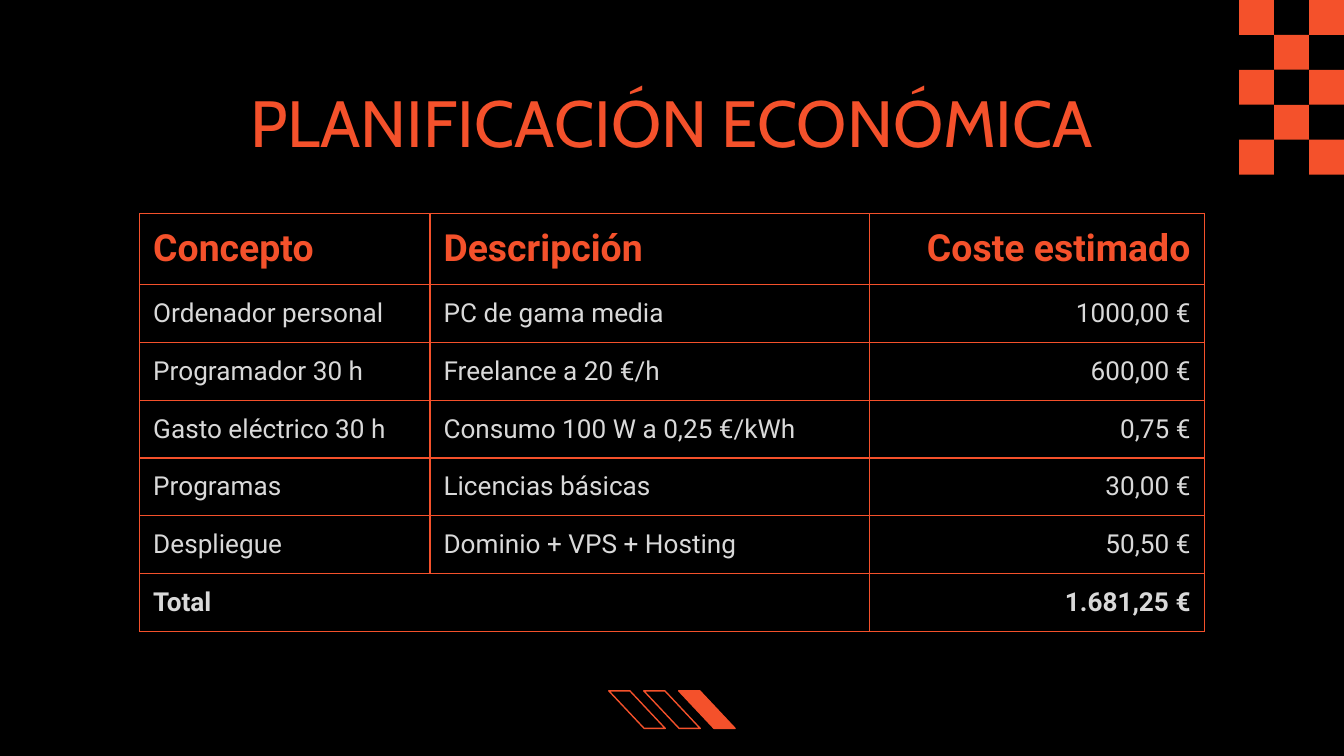
from lxml import etree
from pptx import Presentation
from pptx.dml.color import RGBColor
from pptx.enum.shapes import MSO_SHAPE
from pptx.enum.text import MSO_ANCHOR, MSO_AUTO_SIZE, PP_ALIGN
from pptx.oxml.ns import qn
from pptx.util import Inches, Pt

RECTANGLE = MSO_SHAPE.RECTANGLE
PARALLELOGRAM = MSO_SHAPE.PARALLELOGRAM
TOP, MIDDLE = MSO_ANCHOR.TOP, MSO_ANCHOR.MIDDLE
LEFT, CENTER, RIGHT = PP_ALIGN.LEFT, PP_ALIGN.CENTER, PP_ALIGN.RIGHT
NO_AUTOFIT = MSO_AUTO_SIZE.NONE

COLORS = {"background": "000000", "accent": "F4512B", "text": "D9D9D9"}
TITLE = "PLANIFICACIÓN ECONÓMICA"
COSTS = [
    ("Concepto", "Descripción", "Coste estimado"),
    ("Ordenador personal", "PC de gama media", "1000,00 €"),
    ("Programador 30 h", "Freelance a 20 €/h", "600,00 €"),
    ("Gasto eléctrico 30 h", "Consumo 100 W a 0,25 €/kWh", "0,75 €"),
    ("Programas", "Licencias básicas", "30,00 €"),
    ("Despliegue", "Dominio + VPS + Hosting", "50,50 €"),
    ("Total", "", "1.681,25 €"),
]
COLUMN_WIDTHS = [2.16, 3.27, 2.49]
ALIGNMENTS = [LEFT, LEFT, RIGHT]
ROW_HEIGHT = 0.42
CHECKER = ["X.X", ".X.", "X.X", ".X.", "X.X"]
SQUARE = 0.26
STRIPES = [(5.05, True), (4.79, False), (4.53, False)]


def rgb(name):
    return RGBColor.from_string(COLORS[name])


def write(para, text, font, size, color, bold, alignment):
    para.alignment = alignment
    span = para.add_run()
    span.text = text
    span.font.name = font
    span.font.size = Pt(size)
    span.font.bold = bold
    span.font.color.rgb = rgb(color)


def set_margins(target):
    target.margin_left = target.margin_right = Inches(0.1)
    target.margin_top = target.margin_bottom = Inches(0.1)


def add_shape(page, kind, left, top, width, height, filled):
    shape = page.shapes.add_shape(
        kind, Inches(left), Inches(top), Inches(width), Inches(height))
    shape.shadow.inherit = False
    if filled:
        shape.fill.solid()
        shape.fill.fore_color.rgb = rgb("accent")
    else:
        shape.fill.background()
    return shape


def add_checker(page):
    for row, pattern in enumerate(CHECKER):
        for column, mark in enumerate(pattern):
            if mark == "X":
                square = add_shape(page, RECTANGLE, 9.22 + column * SQUARE,
                                   row * SQUARE, SQUARE, SQUARE, True)
                square.line.fill.background()


def add_stripes(page):
    for left, filled in STRIPES:
        stripe = add_shape(page, PARALLELOGRAM, left, 5.14, 0.42, 0.28, filled)
        stripe.adjustments[0] = 0.94
        stripe.line.color.rgb = rgb("accent")
        stripe.line.width = Pt(0.75)
        stripe._element.spPr.find(qn("a:xfrm")).set("flipH", "1")


def add_title(page):
    title = page.shapes.title
    title.left, title.top = Inches(0.77), Inches(0.51)
    title.width, title.height = Inches(8.46), Inches(0.62)
    frame = title.text_frame
    frame.word_wrap = True
    frame.auto_size = NO_AUTOFIT
    frame.vertical_anchor = TOP
    set_margins(frame)
    write(frame.paragraphs[0], TITLE, "Cabin", 35, "accent", False, CENTER)


def add_borders(cell):
    properties = cell._tc.get_or_add_tcPr()
    for index, side in enumerate(["a:lnL", "a:lnR", "a:lnT", "a:lnB"]):
        border = etree.Element(qn(side), w=str(Pt(0.75)))
        fill = etree.SubElement(border, qn("a:solidFill"))
        etree.SubElement(fill, qn("a:srgbClr"), val=COLORS["accent"])
        properties.insert(index, border)


def add_cost_table(page):
    table = page.shapes.add_table(
        len(COSTS), len(COLUMN_WIDTHS), Inches(1.04), Inches(1.59),
        Inches(sum(COLUMN_WIDTHS)), Inches(ROW_HEIGHT * len(COSTS))).table
    table.first_row = table.horz_banding = False
    for column, width in zip(table.columns, COLUMN_WIDTHS):
        column.width = Inches(width)
    last = len(COSTS) - 1
    table.cell(last, 0).merge(table.cell(last, 1))
    for row, texts in enumerate(COSTS):
        table.rows[row].height = Inches(ROW_HEIGHT)
        size, color = (20, "accent") if row == 0 else (14, "text")
        for column, text in enumerate(texts):
            cell = table.cell(row, column)
            cell.fill.background()
            cell.vertical_anchor = MIDDLE
            set_margins(cell)
            add_borders(cell)
            if text:
                write(cell.text_frame.paragraphs[0], text, "Roboto", size,
                      color, row in (0, last), ALIGNMENTS[column])


def main():
    deck = Presentation()
    deck.slide_width = Inches(10)
    deck.slide_height = deck.slide_width * 9 // 16
    page = deck.slides.add_slide(deck.slide_layouts[5])
    page.background.fill.solid()
    page.background.fill.fore_color.rgb = rgb("background")
    add_checker(page)
    add_stripes(page)
    add_title(page)
    add_cost_table(page)
    deck.save("out.pptx")


if __name__ == "__main__":
    main()
